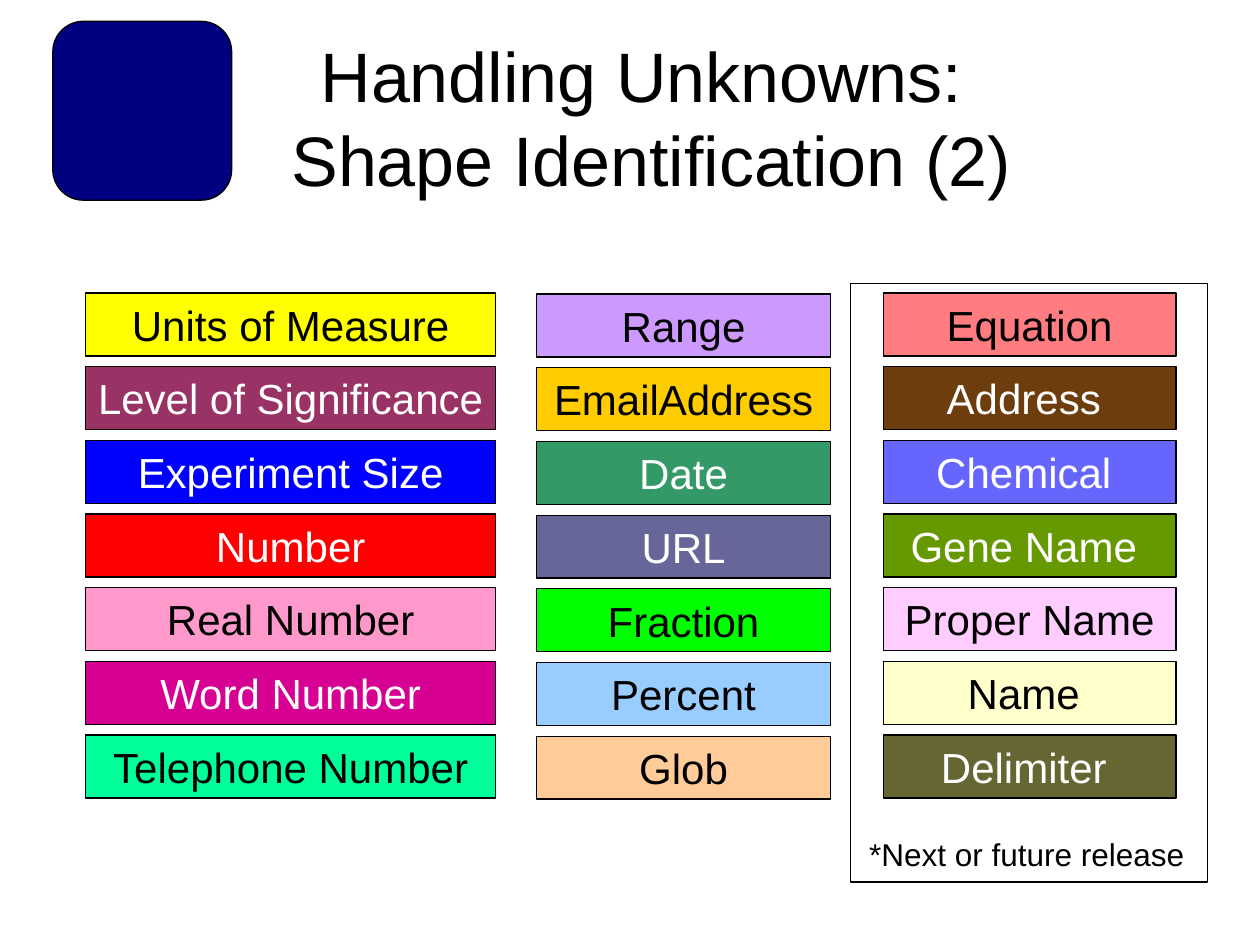
from dataclasses import dataclass

from pptx import Presentation
from pptx.dml.color import RGBColor
from pptx.enum import shapes, text
from pptx.util import Pt


@dataclass(frozen=True)
class Theme:
    font: str = "Arial"
    dark: str = "000000"
    light: str = "FFFFFF"
    navy: str = "000080"
    head: float = 40
    body: float = 24
    note: float = 18
    rule: float = 0.75


THEME = Theme()
TOP, STEP, HIGH = 167.4, 42.1, 36

COLUMNS = [
    (49, 0, 234.2, [
        ("Units of Measure", "FFFF00", THEME.dark),
        ("Level of Significance", "993366", THEME.light),
        ("Experiment Size", "0000FF", THEME.light),
        ("Number", "FF0000", THEME.light),
        ("Real Number", "FF99CC", THEME.dark),
        ("Word Number", "D60093", THEME.light),
        ("Telephone Number", "00FF99", THEME.dark),
    ]),
    (306.7, 0.7, 167.8, [
        ("Range", "CC99FF", THEME.dark),
        ("EmailAddress", "FFCC00", THEME.dark),
        ("Date", "339966", THEME.light),
        ("URL", "666699", THEME.light),
        ("Fraction", "00FF00", THEME.dark),
        ("Percent", "99CCFF", THEME.dark),
        ("Glob", "FFCC99", THEME.dark),
    ]),
    (504.7, 0, 167.3, [
        ("Equation", "FF7C80", THEME.dark),
        ("Address ", "6D3D0D", THEME.light),
        ("Chemical ", "6666FF", THEME.light),
        ("Gene Name ", "669900", THEME.light),
        ("Proper Name", "FFCCFF", THEME.dark),
        ("Name ", "FFFFCC", THEME.dark),
        ("Delimiter ", "666633", THEME.light),
    ]),
]


def write(frame, words, size, color=THEME.dark, align="CENTER", anchor="TOP", wrap=False):
    frame.auto_size = text.MSO_AUTO_SIZE.NONE
    frame.word_wrap = wrap
    frame.vertical_anchor = text.MSO_ANCHOR[anchor]
    para = frame.paragraphs[0]
    para.text = words
    para.alignment = text.PP_ALIGN[align]
    for run in para.runs:
        run.font.name = THEME.font
        run.font.size = Pt(size)
        run.font.color.rgb = RGBColor.from_string(color)


class Page:
    def __init__(self, deck, theme):
        self.theme = theme
        self.slide = deck.slides.add_slide(deck.slide_layouts[5])

    def title(self, words, *area):
        head = self.slide.shapes.title
        head.left, head.top, head.width, head.height = map(Pt, area)
        write(head.text_frame, words, self.theme.head, anchor="MIDDLE", wrap=True)

    def box(self, *area, fill=None, kind="RECTANGLE"):
        shape = self.slide.shapes.add_shape(shapes.MSO_SHAPE[kind], *map(Pt, area))
        shape.shadow.inherit = False
        if fill:
            shape.fill.solid()
            shape.fill.fore_color.rgb = RGBColor.from_string(fill)
        else:
            shape.fill.background()
        shape.line.color.rgb = RGBColor.from_string(self.theme.dark)
        shape.line.width = Pt(self.theme.rule)
        return shape

    def label(self, words, *area, fill, color):
        shape = self.box(*area, fill=fill)
        write(shape.text_frame, words, self.theme.body, color=color)

    def note(self, words, *area):
        area = self.slide.shapes.add_textbox(*map(Pt, area))
        write(area.text_frame, words, self.theme.note, align="LEFT")


def main():
    deck = Presentation()
    deck.slide_width, deck.slide_height = Pt(720), Pt(540)
    page = Page(deck, THEME)
    page.title("Handling Unknowns: \vShape Identification (2)", 48, 21.6, 648, 90)
    badge = page.box(30.2, 12.2, 102.2, 102.2, fill=THEME.navy, kind="ROUNDED_RECTANGLE")
    badge.adjustments[0] = 0.17
    for left, drop, wide, items in COLUMNS:
        for row, (words, fill, color) in enumerate(items):
            top = TOP + drop + row * STEP
            page.label(words, left, top, wide, HIGH, fill=fill, color=color)
    page.box(486, 162, 204, 342)
    page.note("*Next or future release", 489.6, 473.8, 194.4, 28.8)
    deck.save("out.pptx")


if __name__ == "__main__":
    main()
